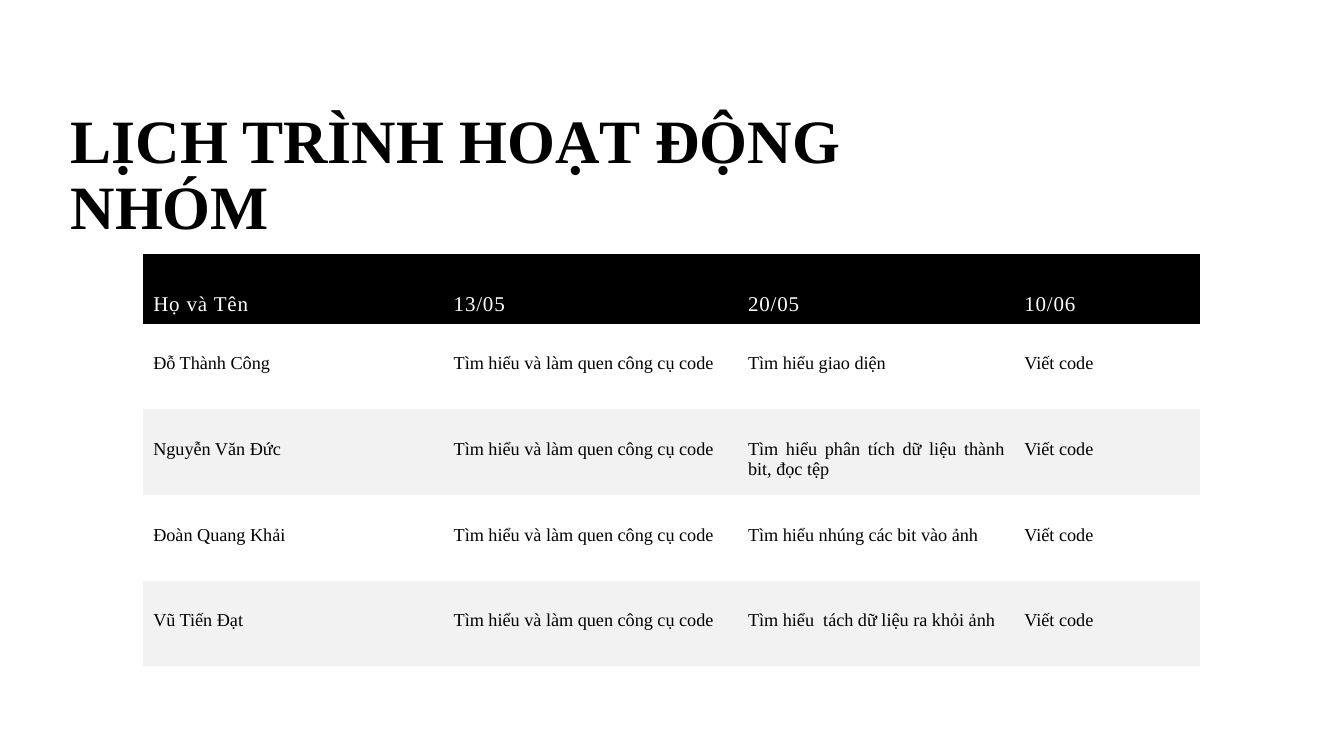
from pptx import Presentation
from pptx.dml.color import RGBColor
from pptx.enum import text as t
from pptx.util import Inches, Pt

BLACK = RGBColor(0, 0, 0)
WHITE = RGBColor(255, 255, 255)
GREY = RGBColor(0xF2, 0xF2, 0xF2)
FONT = "Times New Roman"

HEAD = ["Họ và Tên", "13/05", "20/05", "10/06"]
LEARN = "Tìm hiểu và làm quen công cụ code"
CODE = "Viết code"
TASKS = [
    ("Đỗ Thành Công", "Tìm hiểu giao diện"),
    ("Nguyễn Văn Đức", "Tìm hiểu phân tích dữ liệu thành bit, đọc tệp"),
    ("Đoàn Quang Khải", "Tìm hiểu nhúng các bit vào ảnh"),
    ("Vũ Tiến Đạt", "Tìm hiểu  tách dữ liệu ra khỏi ảnh"),
]
COLS = [2.98, 2.92, 2.74, 1.84]
HEAD_H, ROW_H = 0.69, 0.85


def write(frame, words, size, color=BLACK, bold=False, align=None,
          line=None, track=0):
    para = frame.paragraphs[0]
    para.alignment = align
    para.line_spacing = line
    run = para.add_run()
    run.text = words
    font = run.font
    font.name, font.size, font.bold = FONT, Pt(size), bold
    font.color.rgb = color
    if track:
        run._r.get_or_add_rPr().set("spc", str(int(track * 100)))


def add_title(slide, left, top, width, height):
    title = slide.shapes.title
    title.left, title.top = Inches(left), Inches(top)
    title.width, title.height = Inches(width), Inches(height)
    frame = title.text_frame
    frame.word_wrap = True
    frame.auto_size = t.MSO_AUTO_SIZE.NONE
    frame.vertical_anchor = t.MSO_ANCHOR.TOP
    write(frame, "LỊCH TRÌNH HOẠT ĐỘNG NHÓM", 44, bold=True,
          align=t.PP_ALIGN.LEFT, line=0.9)


def fill_cell(cell, words, row):
    head = row == 0
    # The top margin sets the text low in its row
    cell.margin_left = cell.margin_right = Inches(0.1)
    cell.margin_top = Inches(0.37 if head else 0.3)
    cell.margin_bottom = Inches(0.05)
    cell.vertical_anchor = t.MSO_ANCHOR.MIDDLE if head else t.MSO_ANCHOR.TOP
    if head or row % 2 == 0:
        cell.fill.solid()
        cell.fill.fore_color.rgb = BLACK if head else GREY
    else:
        cell.fill.background()
    write(cell.text_frame, words, 15 if head else 13,
          color=WHITE if head else BLACK, align=t.PP_ALIGN.JUSTIFY,
          track=0.6 if head else 0)


def add_plan(slide, left, top):
    rows = [HEAD] + [[name, LEARN, task, CODE] for name, task in TASKS]
    height = HEAD_H + ROW_H * len(TASKS)
    table = slide.shapes.add_table(
        len(rows), len(COLS), Inches(left), Inches(top),
        Inches(sum(COLS)), Inches(height)).table
    table.horz_banding = False
    for col, width in zip(table.columns, COLS):
        col.width = Inches(width)
    for i, row in enumerate(rows):
        table.rows[i].height = Inches(ROW_H if i else HEAD_H)
        for j, words in enumerate(row):
            fill_cell(table.cell(i, j), words, i)
    # Plain table style without grid lines
    style = table._tbl.tblPr.find("{*}tableStyleId")
    style.text = "{2D5ABB26-0587-4C30-8999-92F81FD0307C}"


def main():
    deck = Presentation()
    deck.slide_width, deck.slide_height = Inches(13.33), Inches(7.5)
    slide = deck.slides.add_slide(deck.slide_layouts[5])
    add_title(slide, 0.6, 1.04, 8.54, 1.21)
    add_plan(slide, 1.42, 2.52)
    deck.save("out.pptx")


if __name__ == "__main__":
    main()
